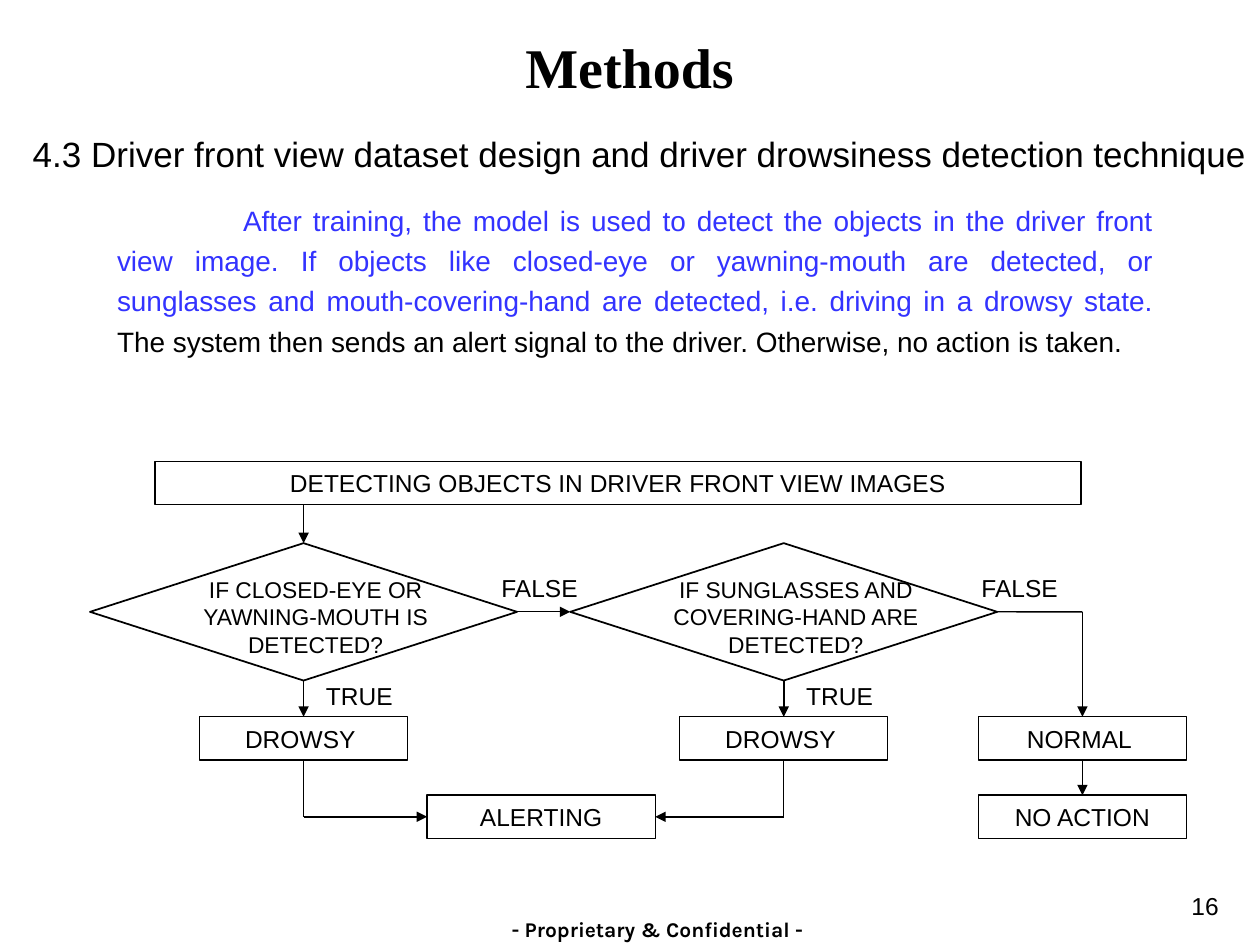
from lxml import etree
from pptx import Presentation
from pptx.dml.color import RGBColor
from pptx.enum.shapes import MSO_CONNECTOR, MSO_SHAPE
from pptx.enum.text import MSO_ANCHOR, PP_ALIGN
from pptx.oxml.ns import qn
from pptx.util import Cm, Pt

RECT, DIAMOND = MSO_SHAPE.RECTANGLE, MSO_SHAPE.DIAMOND
STRAIGHT = MSO_CONNECTOR.STRAIGHT
LEFT, CENTER, RIGHT, JUSTIFY = (PP_ALIGN.LEFT, PP_ALIGN.CENTER,
                                PP_ALIGN.RIGHT, PP_ALIGN.JUSTIFY)
TOP, MIDDLE = MSO_ANCHOR.TOP, MSO_ANCHOR.MIDDLE
SITE_TOP, SITE_LEFT, SITE_BOTTOM, SITE_RIGHT = range(4)

BLACK, BLUE = "000000", "3333FF"

# Flow chart grid, in cm
BOX_W, BOX_H = 4.19, 0.87
CHECK_W, CHECK_H = 8.61, 2.77
CHECK_XS = (6.12, 15.8)
NORMAL_X = 21.82
HEADER_Y, CHECK_Y, STATE_Y, ACTION_Y = 9.3, 10.95, 14.45, 16.03
CHECK_MID = CHECK_Y + CHECK_H / 2
ACTION_MID = ACTION_Y + BOX_H / 2
QUESTIONS = ("IF CLOSED-EYE OR YAWNING-MOUTH IS DETECTED?",
             "IF SUNGLASSES AND COVERING-HAND ARE DETECTED?")


def color(hex_code):
    return RGBColor.from_string(hex_code)


def write(sp, runs, size, align=CENTER, anchor=TOP, font="Arial", bold=False):
    """Fill a shape with one paragraph of (text, colour) runs."""
    tf = sp.text_frame
    tf.word_wrap = True
    tf.vertical_anchor = anchor
    p = tf.paragraphs[0]
    p.alignment = align
    for text, hex_code in runs:
        r = p.add_run()
        r.text = text
        r.font.size = Pt(size)
        r.font.name = font
        r.font.bold = bold
        r.font.color.rgb = color(hex_code)
    return p


def add_text(slide, x, y, w, h, runs, size, **style):
    sp = slide.shapes.add_textbox(Cm(x), Cm(y), Cm(w), Cm(h))
    return sp, write(sp, runs, size, **style)


def add_outline(slide, kind, x, y, w, h, width):
    sp = slide.shapes.add_shape(kind, Cm(x), Cm(y), Cm(w), Cm(h))
    sp.shadow.inherit = False
    sp.fill.background()
    sp.line.color.rgb = color(BLACK)
    sp.line.width = Pt(width)
    return sp


def add_box(slide, center, y, text, w=BOX_W):
    sp = add_outline(slide, RECT, center - w / 2, y, w, BOX_H, 0.75)
    write(sp, [(text, BLACK)], 14, anchor=MIDDLE)
    return sp


def add_label(slide, x, y, text):
    add_text(slide, x, y, BOX_W, BOX_H, [(text, BLACK)], 14)


def add_line(slide, start, end, begin=None, finish=None, arrow=True, width=1):
    """Draw a line; begin and finish are (shape, site) pairs to join."""
    cx = slide.shapes.add_connector(STRAIGHT, *(Cm(v) for v in start + end))
    if begin:
        cx.begin_connect(*begin)
    if finish:
        cx.end_connect(*finish)
    cx.line.color.rgb = color(BLACK)
    cx.line.width = Pt(width)
    if arrow:
        ln = cx.line._get_or_add_ln()
        etree.SubElement(ln, qn("a:tailEnd"), type="triangle")
    etree.SubElement(cx._element.spPr, qn("a:effectLst"))


def add_check(slide, x, question):
    """Add a decision with its TRUE branch; return the diamond and the state."""
    add_text(slide, x - 3, 11.48, 6.48, 1.93, [(question, BLACK)], 13)
    check = add_outline(slide, DIAMOND, x - CHECK_W / 2, CHECK_Y,
                        CHECK_W, CHECK_H, 1)
    state = add_box(slide, x, STATE_Y, "DROWSY ")
    add_line(slide, (x, CHECK_Y + CHECK_H), (x, STATE_Y),
             (check, SITE_BOTTOM), (state, SITE_TOP))
    add_label(slide, x - 0.9, 13.61, "TRUE ")
    add_label(slide, x + 2.73, 11.43, "FALSE ")
    return check, state


def add_flow_chart(slide):
    add_box(slide, 12.46, HEADER_Y, "DETECTING OBJECTS IN DRIVER FRONT VIEW IMAGES",
            18.67)
    alerting = add_box(slide, 10.91, ACTION_Y, "ALERTING", 4.6)
    normal = add_box(slide, NORMAL_X, STATE_Y, "NORMAL ")
    no_action = add_box(slide, NORMAL_X, ACTION_Y, "NO ACTION")
    checks = []
    for x, question, side, edge in zip(CHECK_XS, QUESTIONS,
                                       (SITE_LEFT, SITE_RIGHT), (8.61, 13.21)):
        check, state = add_check(slide, x, question)
        checks.append(check)
        add_line(slide, (x, STATE_Y + BOX_H), (x, ACTION_MID),
                 begin=(state, SITE_BOTTOM), arrow=False, width=0.75)
        add_line(slide, (x, ACTION_MID), (edge, ACTION_MID),
                 finish=(alerting, side))

    eyes, hands = checks
    first_x, second_x = CHECK_XS
    add_line(slide, (first_x, HEADER_Y + BOX_H), (first_x, CHECK_Y),
             finish=(eyes, SITE_TOP))
    add_line(slide, (first_x + CHECK_W / 2, CHECK_MID),
             (second_x - CHECK_W / 2, CHECK_MID),
             (eyes, SITE_RIGHT), (hands, SITE_LEFT), width=0.75)
    add_line(slide, (second_x + CHECK_W / 2, CHECK_MID), (NORMAL_X, CHECK_MID),
             begin=(hands, SITE_RIGHT), arrow=False, width=0.75)
    add_line(slide, (NORMAL_X, CHECK_MID), (NORMAL_X, STATE_Y),
             finish=(normal, SITE_TOP))
    add_line(slide, (NORMAL_X, STATE_Y + BOX_H), (NORMAL_X, ACTION_Y),
             (normal, SITE_BOTTOM), (no_action, SITE_TOP))


def add_texts(slide):
    add_text(slide, 18.9, 17.83, 5.92, 1.14, [("16", BLACK)], 14, align=RIGHT)
    footer, _ = add_text(slide, 9.09, 18.47, 8.33, 0.51,
                         [("- Proprietary & Confidential -", BLACK)], 12,
                         font="Karla", bold=True)
    tf = footer.text_frame
    tf.margin_left = tf.margin_right = tf.margin_top = tf.margin_bottom = 0

    add_text(slide, 1.9, 0.53, 21.59, 1.6, [("Methods", BLACK)], 32,
             anchor=MIDDLE, font="Times New Roman", bold=True)
    _, p = add_text(slide, 0.41, 2.13, 25.1, 1.6,
                    [("4.3 Driver front view dataset design and driver "
                      "drowsiness detection technique", BLACK)], 20, align=LEFT)
    p.line_spacing = 1.5

    _, p = add_text(slide, 2.11, 3.84, 21.39, 3.53, [
        ("After training, the model is used to detect the objects in the driver "
         "front view image. If objects like closed-eye or yawning-mouth are "
         "detected, or sunglasses and mouth-covering-hand are detected, i.e. "
         "driving in a drowsy state. ", BLUE),
        ("The system then sends an alert signal to the driver. Otherwise, no "
         "action is taken.", BLACK)], 16, align=JUSTIFY)
    p.line_spacing = 1.2
    p._p.get_or_add_pPr().set("indent", str(Cm(2.54)))


def main():
    prs = Presentation()
    prs.slide_width, prs.slide_height = Cm(25.4), Cm(19.05)
    slide = prs.slides.add_slide(prs.slide_layouts[6])
    add_texts(slide)
    add_flow_chart(slide)
    prs.save("out.pptx")


if __name__ == "__main__":
    main()
